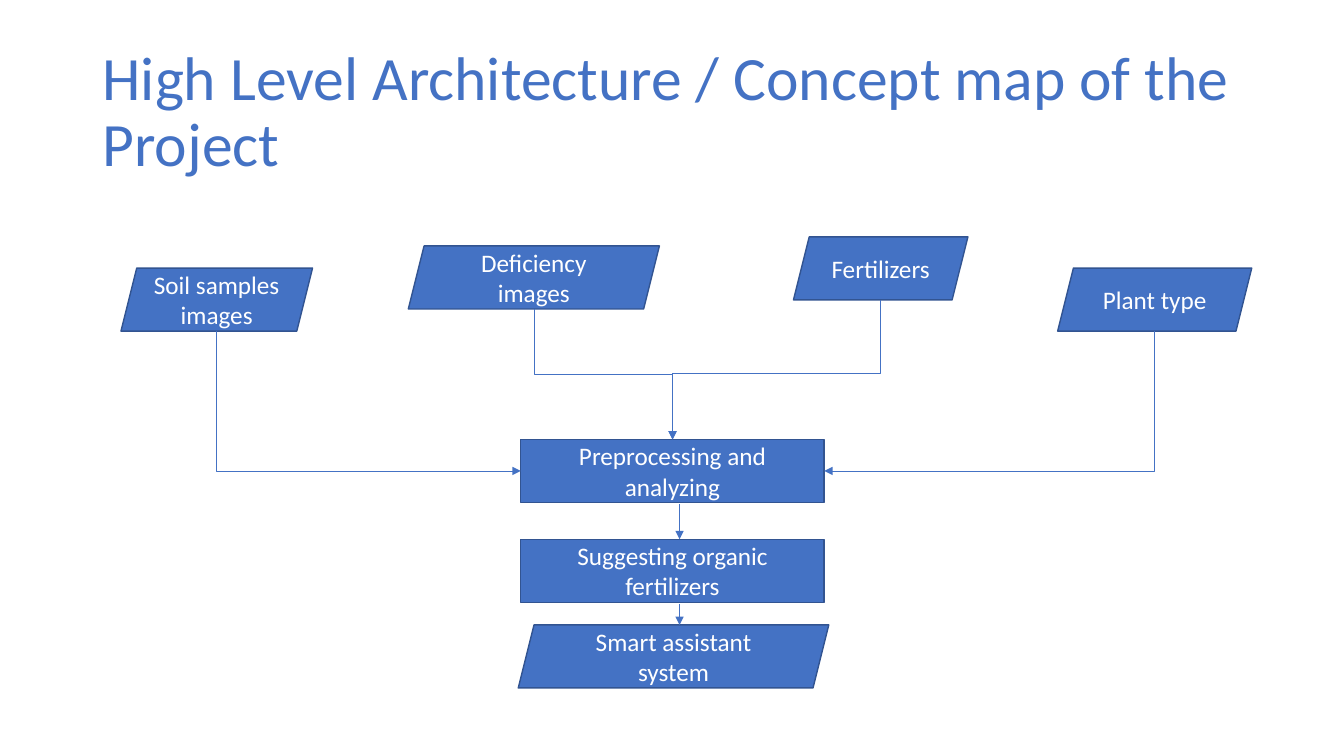
from lxml.etree import SubElement
from pptx import Presentation
from pptx.dml.color import RGBColor
from pptx.enum.shapes import MSO_CONNECTOR as LINK, MSO_SHAPE as SHAPE
from pptx.enum.text import MSO_ANCHOR, MSO_AUTO_SIZE, PP_ALIGN
from pptx.oxml.ns import qn
from pptx.util import Inches, Pt

BLUE = RGBColor(0x44, 0x72, 0xC4)
EDGE = RGBColor(0x32, 0x54, 0x91)
WHITE = RGBColor(0xFF, 0xFF, 0xFF)

# Content: positions are columns and rows of a 0.1 inch grid
CELL = Inches(0.1)
BOX_ROWS = 6.25
TITLE = "High Level Architecture / Concept map of the Project"
TITLE_AREA = (9.17, 4, 115, 14.5)
DATA, STEP = SHAPE.PARALLELOGRAM, SHAPE.RECTANGLE
BOXES = {  # name: (text, shape, column, row, columns wide)
    "soil": ("Soil samples images", DATA, 12, 26.6, 19),
    "deficiency": ("Deficiency images", DATA, 40.5, 24.4, 24.9),
    "fertilizers": ("Fertilizers", DATA, 78.7, 23.5, 17.3),
    "plant": ("Plant type", DATA, 104.9, 26.6, 19.25),
    "analyze": ("Preprocessing and analyzing", STEP, 51.65, 43.6, 30.1),
    "suggest": ("Suggesting organic fertilizers", STEP, 51.65, 53.5, 30.1),
    "assistant": ("Smart assistant system", DATA, 51.4, 62, 30.8),
}
# source, side of the analysis box, share of the drop before the bend
BENDS = [
    ("soil", "left", None),
    ("deficiency", "top", 0.5),
    ("fertilizers", "top", 0.53),
    ("plant", "right", None),
]
STEPS = [("analyze", "suggest"), ("suggest", "assistant")]
STEP_COLUMN = 67.4
STEP_GAP = 0.15


def grid(*cells):
    return [round(cell * CELL) for cell in cells]


def style(text_range, **values):
    for name, value in values.items():
        setattr(text_range, name, value)


def add_arrow(kind, *ends):
    arrow = page.shapes.add_connector(kind, *grid(*ends))
    arrow.line.color.rgb = BLUE
    arrow.line.width = Pt(0.5)
    properties = arrow.line._get_or_add_ln()
    SubElement(properties, qn("a:tailEnd"), type="triangle")
    SubElement(properties.getparent(), qn("a:effectLst"))
    return arrow


def add_bend(start, end, share):
    """Draw an arrow that leaves downwards, as a quarter-turned elbow."""
    (x1, y1), (x2, y2) = start, end
    drop, run = y2 - y1, abs(x2 - x1)
    left, top = (x1 + x2 - drop) / 2, (y1 + y2 - run) / 2
    arrow = add_arrow(LINK.ELBOW, left, top, left + drop, top + run)
    frame = arrow._element.spPr.find(qn("a:xfrm"))
    frame.set("rot", str((270 if x2 > x1 else 90) * 60000))
    if x2 > x1:
        frame.set("flipH", "1")
    shape = arrow._element.spPr.find(qn("a:prstGeom"))
    if share is None:
        shape.set("prst", "bentConnector2")
    else:
        guides = shape.find(qn("a:avLst"))
        SubElement(guides, qn("a:gd"), name="adj1", fmla=f"val {round(share * 100000)}")


deck = Presentation()
deck.slide_width, deck.slide_height = Inches(13.33), Inches(7.5)
page = deck.slides.add_slide(deck.slide_layouts[5])

# Title
title = page.shapes.title
title.left, title.top, title.width, title.height = grid(*TITLE_AREA)
title.text_frame.text = TITLE
style(title.text_frame, word_wrap=True, auto_size=MSO_AUTO_SIZE.NONE,
      vertical_anchor=MSO_ANCHOR.MIDDLE)
para = title.text_frame.paragraphs[0]
style(para, alignment=PP_ALIGN.LEFT, line_spacing=0.9)
style(para.runs[0].font, name="Calibri", size=Pt(44))
para.runs[0].font.color.rgb = BLUE

# Boxes
for text, kind, column, row, wide in BOXES.values():
    box = page.shapes.add_shape(kind, *grid(column, row, wide, BOX_ROWS))
    box.shadow.inherit = False
    box.fill.solid()
    box.fill.fore_color.rgb = BLUE
    box.line.color.rgb = EDGE
    box.line.width = Pt(1)
    box.text_frame.text = text
    style(box.text_frame, word_wrap=True, vertical_anchor=MSO_ANCHOR.MIDDLE)
    para = box.text_frame.paragraphs[0]
    para.alignment = PP_ALIGN.CENTER
    style(para.runs[0].font, name="Calibri", size=Pt(18))
    para.runs[0].font.color.rgb = WHITE

# Arrows from the inputs to the analysis
_, _, column, row, wide = BOXES["analyze"]
sides = {
    "left": (column, row + BOX_ROWS / 2),
    "top": (column + wide / 2, row),
    "right": (column + wide, row + BOX_ROWS / 2),
}
for source, side, share in BENDS:
    _, _, column, row, wide = BOXES[source]
    add_bend((column + wide / 2, row + BOX_ROWS), sides[side], share)

# Arrows between the steps
for source, target in STEPS:
    bottom = BOXES[source][3] + BOX_ROWS + STEP_GAP
    add_arrow(LINK.STRAIGHT, STEP_COLUMN, bottom, STEP_COLUMN, BOXES[target][3])

deck.save("out.pptx")
